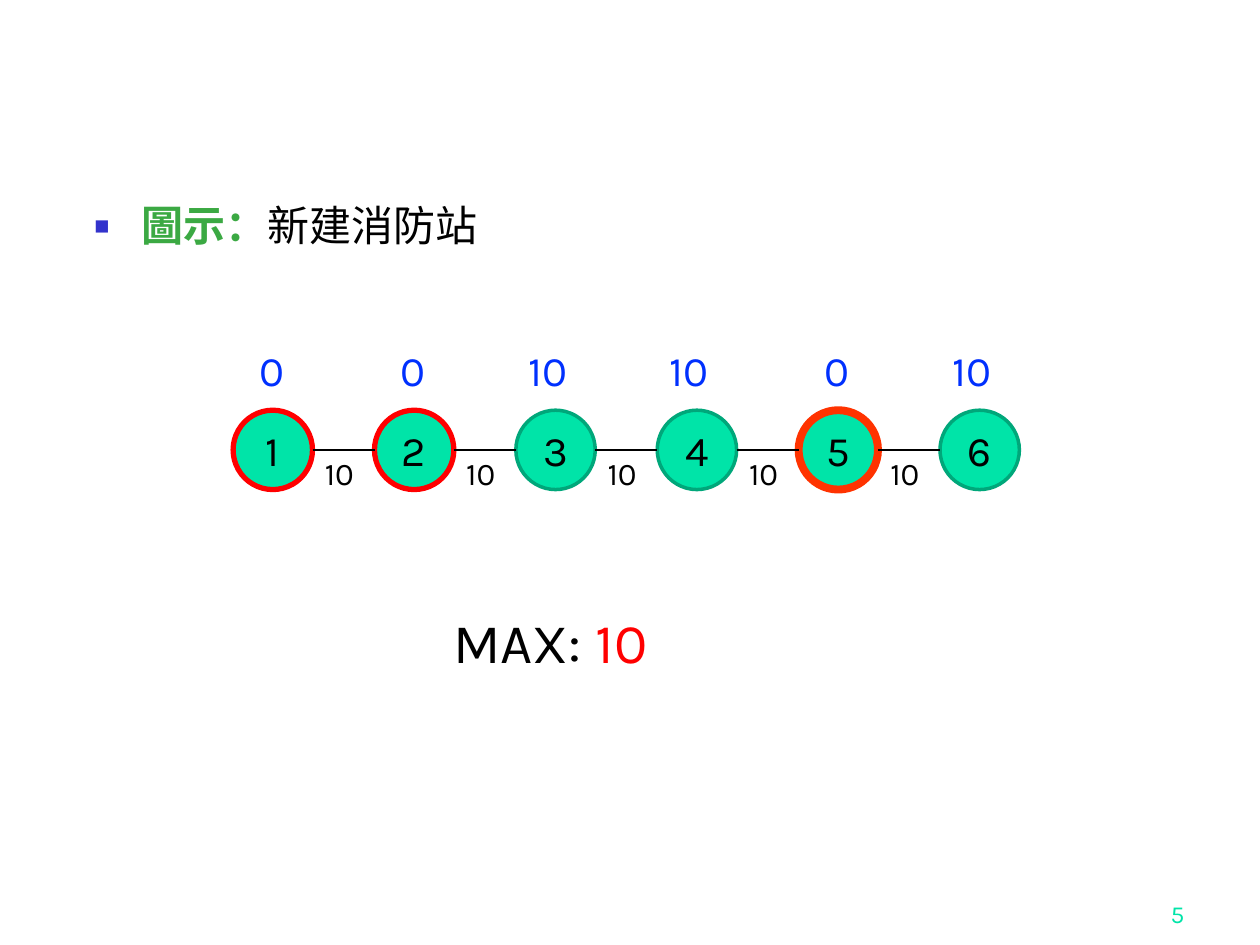
"""Build the slide showing the new fire station on a line of six nodes."""
from dataclasses import dataclass

from lxml import etree
from pptx import Presentation
from pptx.dml.color import RGBColor
from pptx.enum import shapes, text
from pptx.oxml import ns
from pptx.util import Cm, Pt


@dataclass(frozen=True)
class Theme:
    font: str = "Karla"
    list_font: str = "Times New Roman"
    black: str = "000000"
    green: str = "00E4A8"
    dark_green: str = "00A77A"
    heading: str = "3BA943"
    red: str = "FF0000"
    orange: str = "FF3300"
    blue: str = "0030FE"
    bullet: str = "3333CC"
    small: int = 14
    label: int = 18
    body: int = 24
    large: int = 32


theme = Theme()


def write(para, words, size=theme.body, color=theme.black, font=theme.font,
          bold=False, align=text.PP_ALIGN.LEFT):
    para.alignment = align
    span = para.add_run()
    span.text = words
    span.font.size = Pt(size)
    span.font.name = font
    span.font.bold = bold
    span.font.color.rgb = RGBColor.from_string(color)


def add_label(page, left, top, width, height, words, wrap=False,
              anchor=text.MSO_ANCHOR.TOP, **style):
    box = page.shapes.add_textbox(Cm(left), Cm(top), Cm(width), Cm(height))
    box.text_frame.word_wrap = wrap
    box.text_frame.vertical_anchor = anchor
    write(box.text_frame.paragraphs[0], words, **style)


deck = Presentation()
deck.slide_width, deck.slide_height = Cm(25.4), Cm(19.05)
page = deck.slides.add_slide(deck.slide_layouts[1])
title = page.shapes.title
title.element.getparent().remove(title.element)

body = page.placeholders[1]
body.left, body.top, body.width, body.height = Cm(1.65), Cm(4.01), Cm(9.3), Cm(2.39)
body.text_frame.auto_size = text.MSO_AUTO_SIZE.NONE
para = body.text_frame.paragraphs[0]
para.line_spacing = 0.9
para.space_before = Pt(0)
props = para._p.get_or_add_pPr()
props.set("marL", str(Cm(0.95)))
props.set("indent", str(-Cm(0.95)))
bullet_color = etree.SubElement(props, ns.qn("a:buClr"))
etree.SubElement(bullet_color, ns.qn("a:srgbClr"), val=theme.bullet)
etree.SubElement(props, ns.qn("a:buSzPct"), val="60000")
etree.SubElement(props, ns.qn("a:buChar"), char="■")
write(para, "圖示：", color=theme.heading, font=theme.list_font, bold=True)
write(para, "新建消防站", font=theme.list_font)

first_left, node_top, diameter, pitch = 4.7, 8.27, 1.6, 2.85
gap = pitch - diameter
existing = (theme.red, 3)
new = (theme.orange, 4.5)
without = (theme.dark_green, 2)
nodes = [("0", existing), ("0", existing), ("10", without),
         ("10", without), ("0", new), ("10", without)]
edges = ["10"] * 5

for index, (distance, (line_color, line_width)) in enumerate(nodes):
    left = first_left + index * pitch
    node = page.shapes.add_shape(shapes.MSO_SHAPE.OVAL, Cm(left), Cm(node_top),
                                 Cm(diameter), Cm(diameter))
    node.shadow.inherit = False
    node.fill.solid()
    node.fill.fore_color.rgb = RGBColor.from_string(theme.green)
    node.line.color.rgb = RGBColor.from_string(line_color)
    node.line.width = Pt(line_width)
    node.text_frame.word_wrap = False
    node.text_frame.vertical_anchor = text.MSO_ANCHOR.MIDDLE
    write(node.text_frame.paragraphs[0], str(index + 1), align=text.PP_ALIGN.CENTER)
    inset = 0.28 if len(distance) == 1 else 0
    add_label(page, left + inset, 6.83, diameter - 2 * inset, 1.27, distance,
              color=theme.blue)

for index, length in enumerate(edges):
    left = first_left + index * pitch + diameter
    middle = node_top + diameter / 2
    edge = page.shapes.add_connector(shapes.MSO_CONNECTOR.STRAIGHT, Cm(left), Cm(middle),
                                     Cm(left + gap), Cm(middle))
    edge.line.color.rgb = RGBColor.from_string(theme.black)
    edge.line.width = Pt(0.75)
    etree.SubElement(edge._element.spPr, ns.qn("a:effectLst"))
    add_label(page, left, 9.02, gap, 1.02, length, size=theme.label)

add_label(page, 8.89, 12.12, 3.23, 1.63, "MAX:", size=theme.large)
add_label(page, 11.76, 12.12, 1.8, 1.63, "10", size=theme.large, color=theme.red)
add_label(page, 18.85, 17.58, 5.28, 1.27, "5", wrap=True, anchor=text.MSO_ANCHOR.BOTTOM,
          size=theme.small, color=theme.green, align=text.PP_ALIGN.RIGHT)

deck.save("out.pptx")
